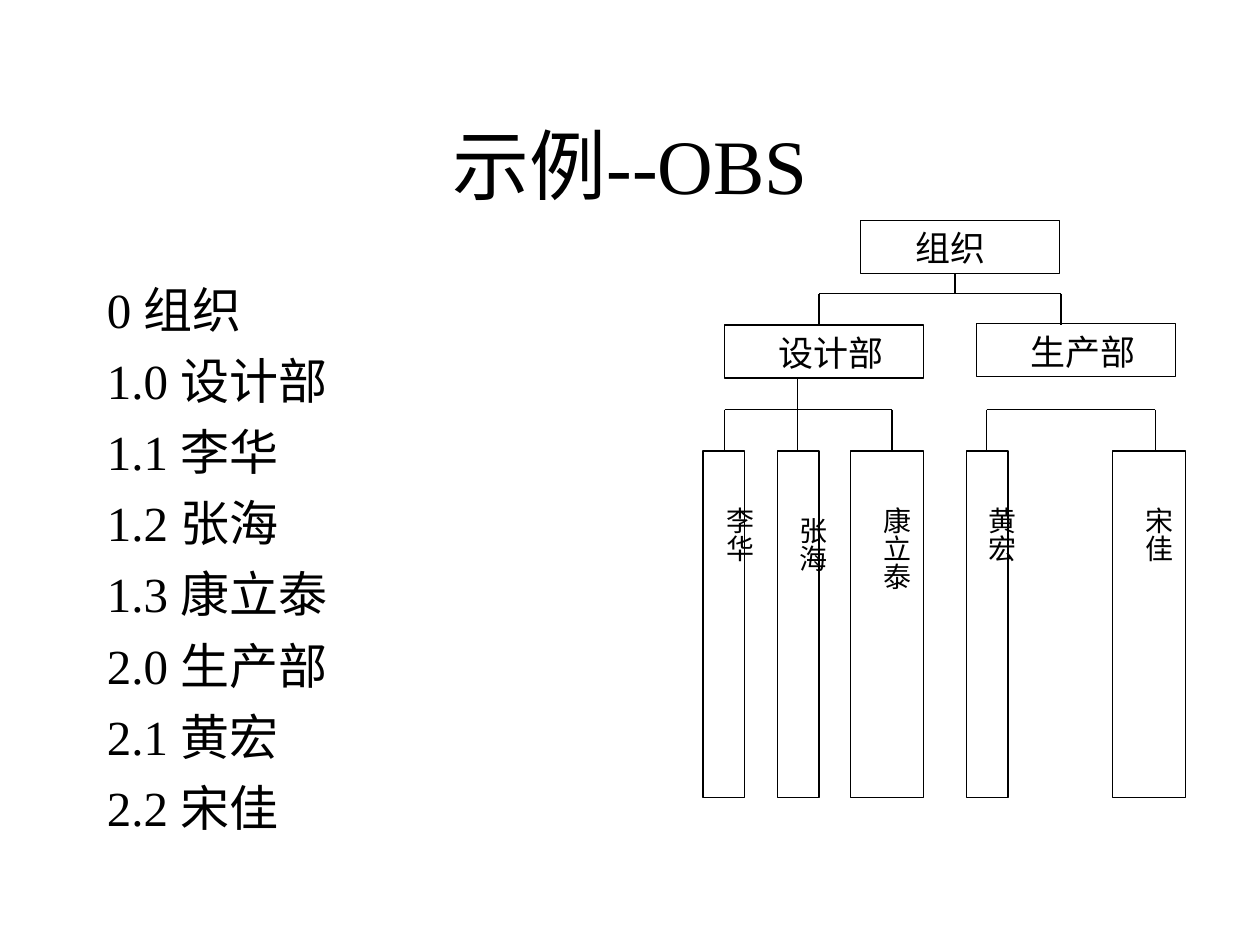
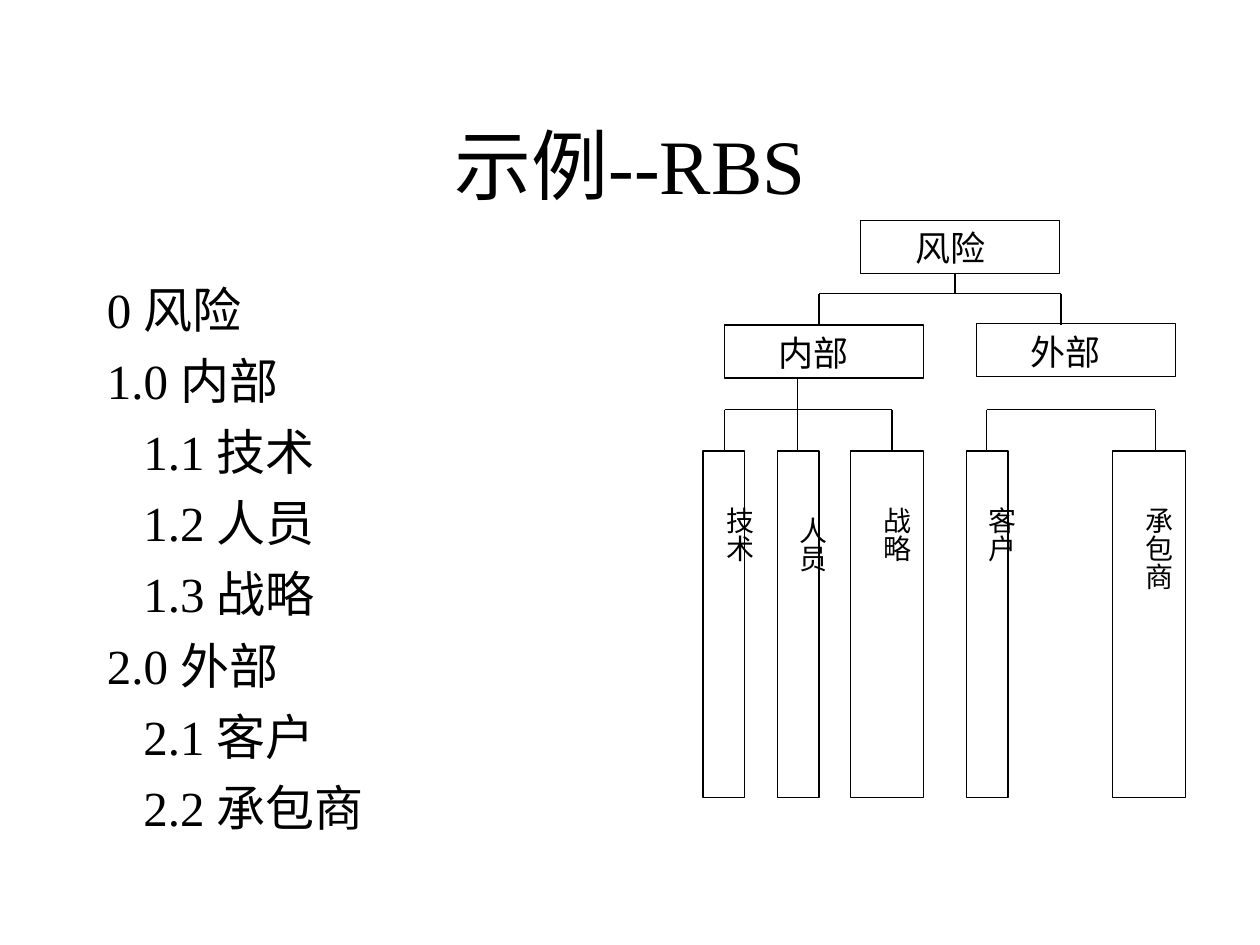
from pptx import Presentation
from pptx.dml.color import RGBColor
from pptx.enum.shapes import MSO_CONNECTOR, MSO_SHAPE
from pptx.enum.text import MSO_ANCHOR, PP_ALIGN
from pptx.oxml.ns import qn
from pptx.util import Inches, Pt

BLACK = RGBColor(0, 0, 0)
FONT = "Times New Roman"
RECTANGLE = MSO_SHAPE.RECTANGLE
STRAIGHT = MSO_CONNECTOR.STRAIGHT
TOP, MIDDLE = MSO_ANCHOR.TOP, MSO_ANCHOR.MIDDLE
LEFT, CENTER = PP_ALIGN.LEFT, PP_ALIGN.CENTER

THIN, MEDIUM = 0.75, 1
HANGING = 0.38
LEVEL_INDENT = 0.29

BRANCH_SIZE = (1.58, 0.42)
LEAF_TOP, LEAF_HEIGHT = 3.58, 2.75
# Box left and top, label left and label width
BRANCHES = [
    (6.83, 1.75, 7.17, 0.83),
    (5.75, 2.58, 6.08, 1.17),
    (7.75, 2.57, 8.08, 1.33),
]
# Box left and width, label left and top, offset of the label along its column
LEAVES = [
    (5.58, 0.33, 5.59, 3.92, 0),
    (6.17, 0.33, 6.17, 4, 0),
    (6.75, 0.58, 6.84, 3.67, 0.25),
    (7.67, 0.33, 7.67, 3.92, 0),
    (8.83, 0.58, 8.92, 3.67, 0.25),
]

# Title, whether the outline indents its second level, outline entries
BREAKDOWNS = [
    ("示例--OBS", False, [
        ("0", "组织"), ("1.0", "设计部"), ("1.1", "李华"), ("1.2", "张海"),
        ("1.3", "康立泰"), ("2.0", "生产部"), ("2.1", "黄宏"), ("2.2", "宋佳"),
    ]),
    ("示例--RBS", True, [
        ("0", "风险"), ("1.0", "内部"), ("1.1", "技术"), ("1.2", "人员"),
        ("1.3", "战略"), ("2.0", "外部"), ("2.1", "客户"), ("2.2", "承包商"),
    ]),
]


def is_branch(number):
    return number == "0" or number.endswith(".0")


def add_text(slide, lines, left, top, width, height, size,
             align=LEFT, anchor=TOP):
    box = slide.shapes.add_textbox(
        Inches(left), Inches(top), Inches(width), Inches(height))
    frame = box.text_frame
    frame.word_wrap = True
    frame.vertical_anchor = anchor
    frame.text = "\n".join(lines)
    for paragraph in frame.paragraphs:
        paragraph.alignment = align
        for run in paragraph.runs:
            run.font.name = FONT
            run.font.size = Pt(size)
            run.font.color.rgb = BLACK
    return frame


def set_indent(paragraph, margin, first_line=0):
    properties = paragraph._p.get_or_add_pPr()
    properties.set("marL", str(Inches(margin)))
    properties.set("indent", str(Inches(first_line)))


def add_outline(slide, entries, indented):
    lines = [f"{number} {name}" for number, name in entries]
    frame = add_text(slide, lines, 0.75, 2.17, 4.17, 4.5, 28)
    for index, paragraph in enumerate(frame.paragraphs):
        nested = indented and not is_branch(entries[index][0])
        set_indent(paragraph, HANGING + LEVEL_INDENT * nested, -HANGING)
        if index:
            paragraph.space_before = Pt(7)


def add_box(slide, left, top, width, height):
    box = slide.shapes.add_shape(
        RECTANGLE, Inches(left), Inches(top), Inches(width), Inches(height))
    box.shadow.inherit = False
    box.fill.background()
    box.line.color.rgb = BLACK
    box.line.width = Pt(THIN)


def add_line(slide, x1, y1, x2, y2, weight):
    line = slide.shapes.add_connector(
        STRAIGHT, Inches(x1), Inches(y1), Inches(x2), Inches(y2))
    line.line.color.rgb = BLACK
    line.line.width = Pt(weight)
    properties = line._element.spPr
    properties.append(properties.makeelement(qn("a:effectLst"), {}))


def add_bracket(slide, left, right, top, bottom, weight):
    """Draw a horizontal bar with a drop at each end."""
    add_line(slide, left, top, right, top, weight)
    for x in (left, right):
        add_line(slide, x, top, x, bottom, weight)


def add_branch(slide, name, left, top, label_left, label_width):
    add_box(slide, left, top, *BRANCH_SIZE)
    add_text(slide, [name], label_left, top, label_width, 0.44, 20)


def add_leaf(slide, name, left, width, label_left, label_top, offset):
    add_box(slide, left, LEAF_TOP, width, LEAF_HEIGHT)
    frame = add_text(slide, [name], label_left, label_top, 0.46, 2.92, 16,
                     align=CENTER)
    frame.margin_left = frame.margin_right = Inches(0.05)
    frame.margin_top = frame.margin_bottom = Inches(0.1)
    frame._txBody.bodyPr.set("vert", "eaVert")
    set_indent(frame.paragraphs[0], offset)


def add_tree(slide, entries):
    branches = [name for number, name in entries if is_branch(number)]
    leaves = [name for number, name in entries if not is_branch(number)]
    for name, place in zip(branches, BRANCHES):
        add_branch(slide, name, *place)
    for name, place in zip(leaves, LEAVES):
        add_leaf(slide, name, *place)

    add_line(slide, 7.58, 2.17, 7.58, 2.33, MEDIUM)
    add_bracket(slide, 6.5, 8.42, 2.33, 2.58, MEDIUM)
    add_line(slide, 6.33, 3, 6.33, LEAF_TOP, THIN)
    add_bracket(slide, 5.75, 7.08, 3.25, LEAF_TOP, THIN)
    add_bracket(slide, 7.83, 9.17, 3.25, LEAF_TOP, THIN)


def main():
    deck = Presentation()
    deck.slide_width, deck.slide_height = Inches(10), Inches(7.5)
    blank = deck.slide_layouts[6]
    for title, indented, entries in BREAKDOWNS:
        slide = deck.slides.add_slide(blank)
        add_text(slide, [title], 0.75, 0.67, 8.5, 1.25, 44, CENTER, MIDDLE)
        add_outline(slide, entries, indented)
        add_tree(slide, entries)
    deck.save("out.pptx")


if __name__ == "__main__":
    main()
